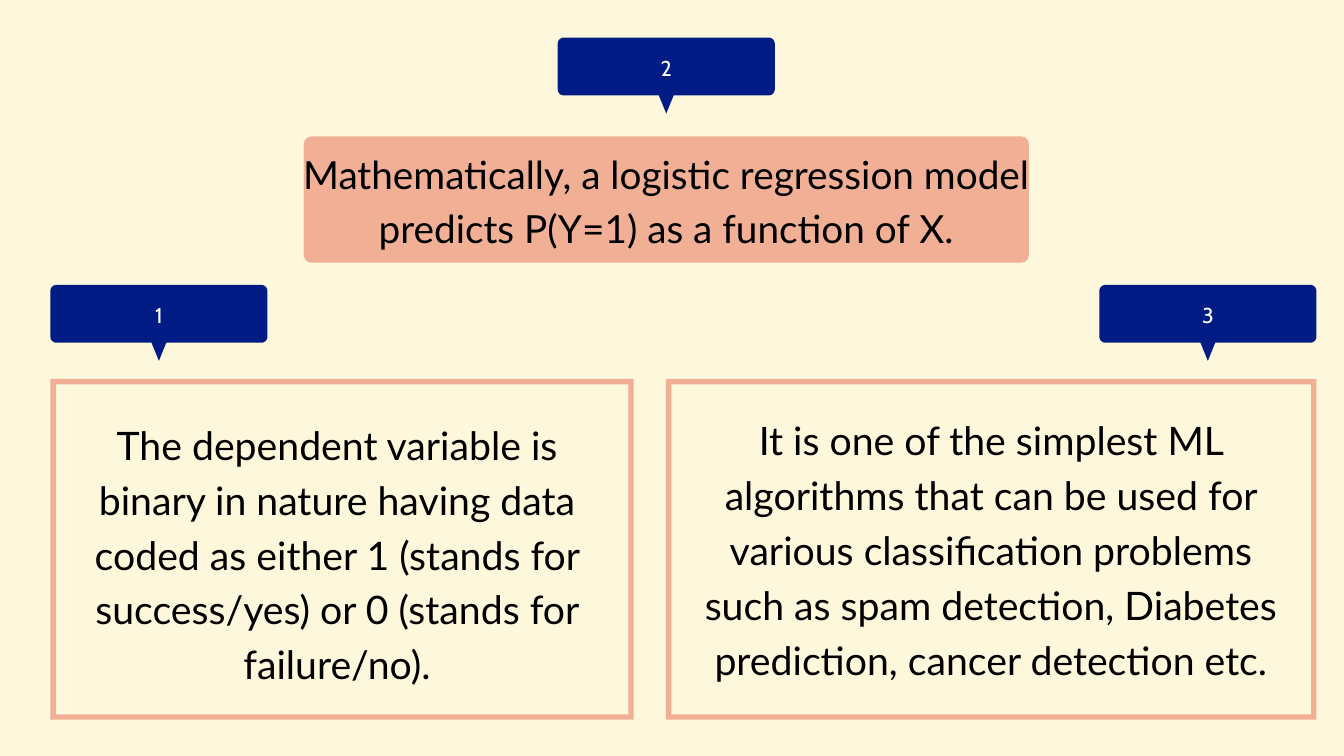
"""Build a slide of three numbered facts on logistic regression."""
from math import cos, radians, sin

from pptx import Presentation
from pptx.dml.color import RGBColor as Rgb
from pptx.enum.shapes import MSO_SHAPE as Shape
from pptx.enum.text import MSO_ANCHOR as Anchor, PP_ALIGN as Align
from pptx.util import Inches as In, Pt

HUE = {"back": "FDF8DB", "pink": "F1AF96", "navy": "001C84",
       "ink": "000000", "white": "FFFFFF"}
WIDE, HIGH = 20, 11.25
LEFT, RIGHT = 0.75, 19.59
TAG_W, TAG_H, TIP = 3.23, 0.86, 0.27
ROUND, NOTCH, RIM = 0.09, 0.11, 0.08
LOW, TALL = 5.64, 5.07

PANELS = [
    {"form": Shape.FRAME, "at": (LEFT, LOW, 8.68, TALL), "adj": RIM / TALL},
    {"form": Shape.FRAME, "at": (9.91, LOW, RIGHT - 9.91, TALL), "adj": RIM / TALL},
    {"form": Shape.ROUNDED_RECTANGLE, "at": (4.52, 2.03, 10.79, 1.88), "adj": 0.06},
]
BODY = {"name": "Lato", "size": Pt(42)}
LEAD = {"name": "Lato", "size": Pt(41.5)}
MARK = {"name": "Cabin", "size": Pt(23)}
FACTS = [
    ("The dependent variable is binary in nature having data coded as either 1 "
     "(stands for success/yes) or 0 (stands for failure/no).",
     (0.9, 6.15, 8.23, 4.05), BODY, 58.8),
    ("It is one of the simplest ML algorithms that can be used for various "
     "classification problems such as spam detection, Diabetes prediction, "
     "cancer detection etc.",
     (10.33, 6.08, 8.83, 4.05), BODY, 58.8),
    ("Mathematically, a logistic regression model predicts P(Y=1) as a "
     "function of X.",
     (4.47, 2.13, 10.89, 1.58), LEAD, 58.1),
]
TAGS = [("1", LEFT, 4.24), ("2", 8.3, 0.56), ("3", RIGHT - TAG_W, 4.24)]


def paint(shape, hue):
    shape.shadow.inherit = False
    shape.fill.solid()
    shape.fill.fore_color.rgb = Rgb.from_string(HUE[hue])
    shape.line.fill.background()


def write(shapes, text, at, font, lead, hue="ink"):
    frame = shapes.add_textbox(*map(In, at)).text_frame
    look = {"word_wrap": True, "vertical_anchor": Anchor.TOP, "margin_left": 0,
            "margin_right": 0, "margin_top": 0, "margin_bottom": 0}
    for key, val in look.items():
        setattr(frame, key, val)
    para = frame.paragraphs[0]
    para.alignment, para.line_spacing = Align.CENTER, Pt(lead)
    run = para.add_run()
    run.text = text
    for key, val in font.items():
        setattr(run.font, key, val)
    run.font.color.rgb = Rgb.from_string(HUE[hue])


def bend(x, y, start):
    turns = [radians(start + step) for step in range(0, 91, 15)]
    return [(x + ROUND * cos(a), y + ROUND * sin(a)) for a in turns]


def add_tag(shapes, text, x, y):
    end, base, mid = x + TAG_W, y + TAG_H, x + TAG_W / 2
    dots = [
        *bend(x + ROUND, y + ROUND, 180),
        *bend(end - ROUND, y + ROUND, 270),
        *bend(end - ROUND, base - ROUND, 0),
        (mid + NOTCH, base), (mid, base + TIP), (mid - NOTCH, base),
        *bend(x + ROUND, base - ROUND, 90),
    ]
    dots = [(In(a), In(b)) for a, b in dots]
    group = shapes.add_group_shape().shapes
    path = group.build_freeform(*dots[0], scale=1.0)
    path.add_line_segments(dots[1:], close=True)
    paint(path.convert_to_shape(), "navy")
    write(group, text, (x + 0.46, y + 0.19, TAG_W - 0.92, 0.42), MARK, 32.2, "white")


def main():
    deck = Presentation()
    deck.slide_width, deck.slide_height = In(WIDE), In(HIGH)
    slide = deck.slides.add_slide(deck.slide_layouts[6])
    fill = slide.background.fill
    fill.solid()
    fill.fore_color.rgb = Rgb.from_string(HUE["back"])
    for panel in PANELS:
        box = slide.shapes.add_shape(panel["form"], *map(In, panel["at"]))
        box.adjustments[0] = panel["adj"]
        paint(box, "pink")
    for fact in FACTS:
        write(slide.shapes, *fact)
    for tag in TAGS:
        add_tag(slide.shapes, *tag)
    deck.save("out.pptx")


if __name__ == "__main__":
    main()
